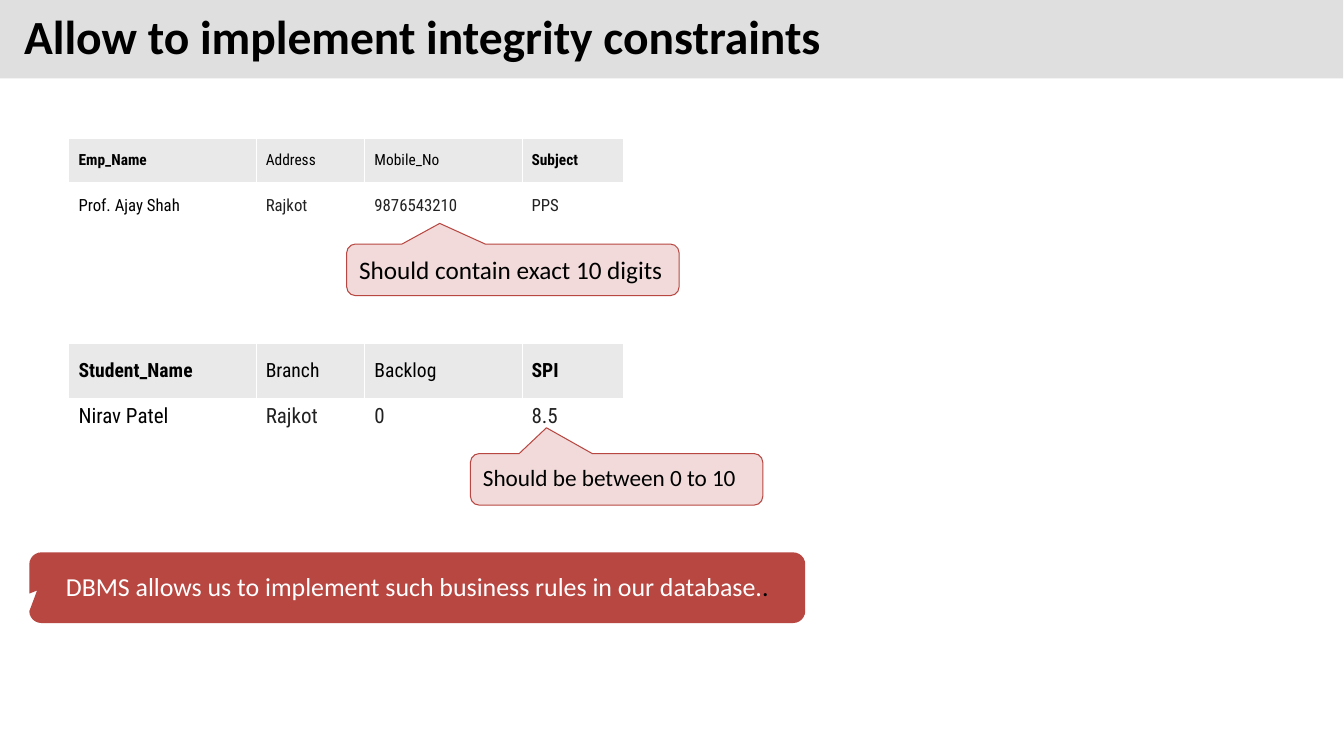
from dataclasses import dataclass
from typing import Optional

from lxml.etree import SubElement
from pptx import Presentation
from pptx.dml.color import RGBColor
from pptx.enum.shapes import MSO_SHAPE
from pptx.enum.text import MSO_ANCHOR, PP_ALIGN
from pptx.oxml.ns import qn
from pptx.util import Cm, Pt

BLACK = RGBColor(0x00, 0x00, 0x00)
WHITE = RGBColor(0xFF, 0xFF, 0xFF)
DARK = RGBColor(0x21, 0x21, 0x21)
SILVER = RGBColor(0xC0, 0xC0, 0xC0)
HEADER_GREY = RGBColor(0xE9, 0xE9, 0xE9)
RED = RGBColor(0xB8, 0x47, 0x42)
PINK = RGBColor(0xF1, 0xDA, 0xD9)

BODY_FONT = "Calibri"
TABLE_FONT = "Roboto Condensed"
TABLE_LEFT = 1.73
COLUMN_WIDTHS = (4.72, 2.74, 3.96, 2.57)
BOLD_HEADERS = (0, 3)


@dataclass
class Box:
    """A filled shape with one line of text; lengths in centimetres."""
    at: tuple[float, float, float, float]
    runs: list[tuple[str, RGBColor]]
    size: float
    fill: RGBColor
    line: Optional[RGBColor] = None
    kind: MSO_SHAPE = MSO_SHAPE.ROUNDED_RECTANGULAR_CALLOUT
    tip: tuple[float, ...] = ()
    margins: tuple[float, float] = (0.25, 0.13)
    align: PP_ALIGN = PP_ALIGN.LEFT
    spacing: float = 0.9
    bold: bool = False


@dataclass
class Grid:
    """A header row and a record; lengths in centimetres."""
    top: float
    heights: tuple[float, float]
    sizes: tuple[float, float]
    rows: list[tuple[str, ...]]


BOXES = [
    Box((0, 0, 33.86, 1.98), [("Allow to implement integrity constraints", BLACK)], 34,
        SILVER, kind=MSO_SHAPE.RECTANGLE, margins=(0.61, 0.3), bold=True),
    Box((8.74, 6.15, 8.38, 1.3), [("Should contain exact 10 digits", BLACK)], 18,
        PINK, RED, tip=(-0.22, -0.9, 0.17), spacing=1.0),
    Box((11.86, 11.43, 7.37, 1.3), [("Should be between 0 to 10", BLACK)], 16.6,
        PINK, RED, tip=(-0.24, -1.0, 0.17)),
    Box((0.74, 13.92, 19.56, 1.78),
        [("DBMS allows us to implement such business rules in our database.", WHITE),
         (".", BLACK)], 18.5, RED, tip=(-0.49, 0.04, 0.17), align=PP_ALIGN.CENTER),
]

GRIDS = [
    Grid(3.48, (1.12, 1.17), (11, 12),
         [("Emp_Name", "Address", "Mobile_No", "Subject"),
          ("Prof. Ajay Shah", "Rajkot", "9876543210", "PPS")]),
    Grid(8.64, (1.4, 0.89), (14, 15),
         [("Student_Name", "Branch", "Backlog", "SPI"),
          ("Nirav Patel", "Rajkot", "0", "8.5")]),
]


def add_run(p, text: str, color: RGBColor, **font) -> None:
    r = p.add_run()
    r.text = text
    for name, value in font.items():
        setattr(r.font, name, value)
    r.font.color.rgb = color


def set_margins(target, horizontal: float, vertical: float) -> None:
    for side, value in {"left": horizontal, "right": horizontal,
                        "top": vertical, "bottom": vertical}.items():
        setattr(target, f"margin_{side}", Cm(value))


def add_box(s, box: Box):
    sp = s.shapes.add_shape(box.kind, *map(Cm, box.at))
    sp.shadow.inherit = False
    for i, value in enumerate(box.tip):
        sp.adjustments[i] = value
    sp.fill.solid()
    sp.fill.fore_color.rgb = box.fill
    if box.line is None:
        sp.line.fill.background()
    else:
        sp.line.color.rgb = box.line
        sp.line.width = Pt(0.75)
    tf = sp.text_frame
    tf.word_wrap = True
    tf.vertical_anchor = MSO_ANCHOR.MIDDLE
    set_margins(tf, *box.margins)
    p = tf.paragraphs[0]
    p.alignment = box.align
    p.line_spacing = box.spacing
    for text, color in box.runs:
        add_run(p, text, color, name=BODY_FONT, size=Pt(box.size), bold=box.bold)
    return sp


def add_borders(cell) -> None:
    properties = cell._tc.get_or_add_tcPr()
    for edge in ("a:lnL", "a:lnR", "a:lnT", "a:lnB"):
        line = SubElement(properties, qn(edge), w=str(Pt(0.23)))
        fill = SubElement(line, qn("a:solidFill"))
        SubElement(fill, qn("a:srgbClr"), val=str(WHITE))


def add_grid(s, grid: Grid) -> None:
    table = s.shapes.add_table(
        len(grid.rows), len(COLUMN_WIDTHS), Cm(TABLE_LEFT), Cm(grid.top),
        Cm(sum(COLUMN_WIDTHS)), Cm(sum(grid.heights))).table
    table.horz_banding = False
    for column, width in zip(table.columns, COLUMN_WIDTHS):
        column.width = Cm(width)
    for i, (values, height, size) in enumerate(zip(grid.rows, grid.heights, grid.sizes)):
        table.rows[i].height = Cm(height)
        is_header = i == 0
        for j, text in enumerate(values):
            cell = table.cell(i, j)
            add_borders(cell)
            cell.fill.solid()
            cell.fill.fore_color.rgb = HEADER_GREY if is_header else WHITE
            cell.vertical_anchor = MSO_ANCHOR.MIDDLE
            set_margins(cell, 0.25, 0.13)
            add_run(cell.text_frame.paragraphs[0], text,
                    BLACK if is_header or j == 0 else DARK,
                    name=TABLE_FONT, size=Pt(size),
                    bold=is_header and j in BOLD_HEADERS)


def main() -> None:
    prs = Presentation()
    prs.slide_width, prs.slide_height = Cm(33.88), Cm(19.05)
    s = prs.slides.add_slide(prs.slide_layouts[6])

    # Half-transparent title bar
    title, *callouts = BOXES
    bar = add_box(s, title)
    color = bar.fill._xPr.find(qn("a:solidFill")).find(qn("a:srgbClr"))
    SubElement(color, qn("a:alpha"), val="50000")

    # Example tables
    for grid in GRIDS:
        add_grid(s, grid)

    # Constraint callouts and conclusion
    for callout in callouts:
        add_box(s, callout)

    prs.save("out.pptx")


if __name__ == "__main__":
    main()
